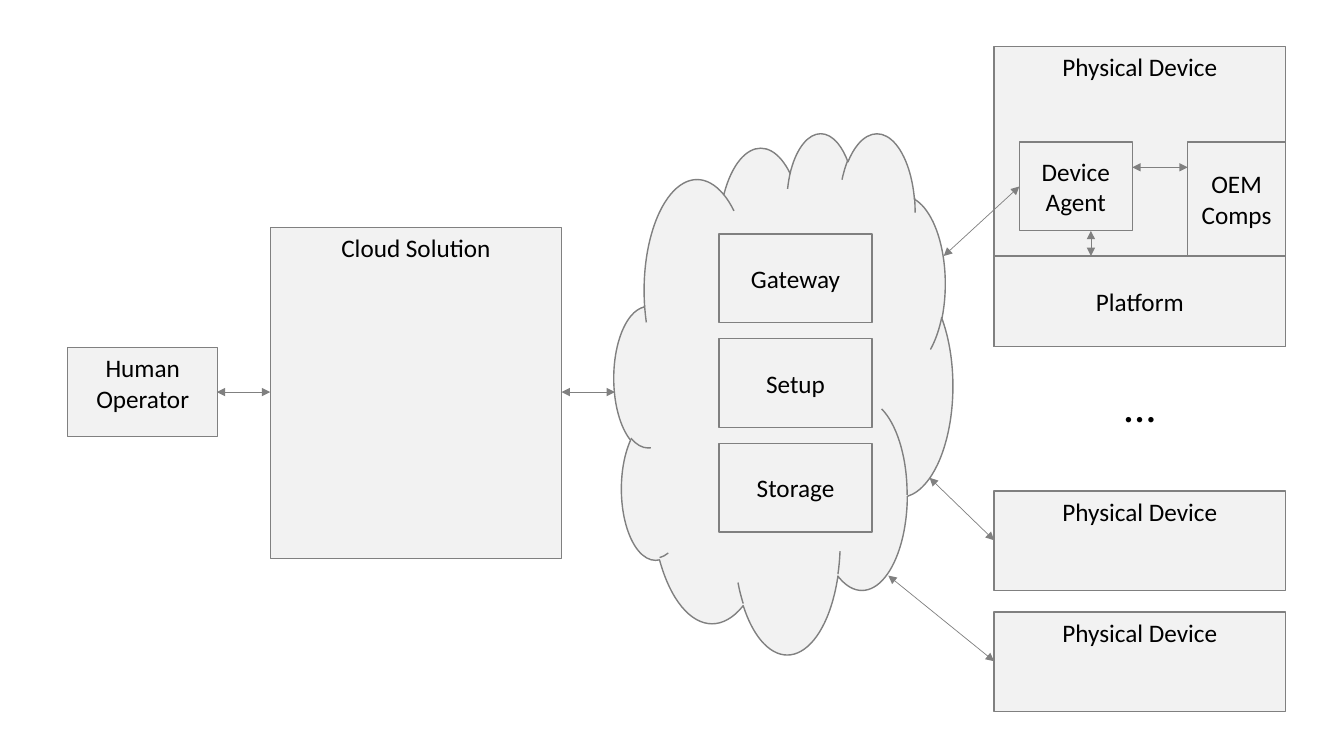
from lxml import etree
from pptx import Presentation
from pptx.dml.color import RGBColor
from pptx.enum.shapes import MSO_CONNECTOR, MSO_SHAPE
from pptx.enum.text import MSO_ANCHOR, PP_ALIGN
from pptx.oxml.ns import qn
from pptx.util import Inches, Pt

RECTANGLE, CLOUD = MSO_SHAPE.RECTANGLE, MSO_SHAPE.CLOUD
STRAIGHT = MSO_CONNECTOR.STRAIGHT
TOP, MIDDLE = MSO_ANCHOR.TOP, MSO_ANCHOR.MIDDLE
CENTER = PP_ALIGN.CENTER
LIGHT_GRAY = RGBColor(0xF2, 0xF2, 0xF2)
GRAY = RGBColor(0x80, 0x80, 0x80)
BLACK = RGBColor(0, 0, 0)

DEVICE_LEFT, DEVICE_WIDTH = 9.86, 2.89
BOX_HEIGHT = 0.88

presentation = Presentation()
presentation.slide_width = Inches(13.33)
presentation.slide_height = Inches(7.5)
slide = presentation.slides.add_slide(presentation.slide_layouts[6])


def write_text(shape, text, anchor, size=18):
    frame = shape.text_frame
    frame.text = text
    frame.word_wrap = True
    frame.vertical_anchor = anchor
    font_format = {"name": "Calibri", "size": Pt(size)}
    for paragraph in frame.paragraphs:
        paragraph.alignment = CENTER
        for name, value in font_format.items():
            setattr(paragraph.font, name, value)
        paragraph.font.color.rgb = BLACK


def add_box(preset, left, top, width, height, text="", anchor=TOP):
    shape = slide.shapes.add_shape(
        preset, Inches(left), Inches(top), Inches(width), Inches(height))
    shape.shadow.inherit = False
    shape.fill.solid()
    shape.fill.fore_color.rgb = LIGHT_GRAY
    shape.line.color.rgb = GRAY
    shape.line.width = Pt(1)
    if text:
        write_text(shape, text, anchor)


add_box(CLOUD, 6.09, 1.31, 3.36, 5.17)

# Outer boxes, with the text at the top
for top, height in [(0.46, 2.98), (4.87, 0.99), (6.07, 0.99)]:
    add_box(RECTANGLE, DEVICE_LEFT, top, DEVICE_WIDTH, height, "Physical Device")
add_box(RECTANGLE, 2.68, 2.26, 2.89, 3.28, "Cloud Solution")
add_box(RECTANGLE, 0.67, 3.45, 1.49, BOX_HEIGHT, "Human\nOperator")

# Services inside the cloud
for index, service in enumerate(["Gateway", "Setup", "Storage"]):
    add_box(RECTANGLE, 7.13, 2.32 + index * 1.04, 1.52, BOX_HEIGHT, service, MIDDLE)

# Parts of the first device
add_box(RECTANGLE, 10.11, 1.41, 1.12, BOX_HEIGHT, "Device Agent", MIDDLE)
add_box(RECTANGLE, DEVICE_LEFT, 2.54, DEVICE_WIDTH, 0.9, "Platform", MIDDLE)
add_box(RECTANGLE, 11.78, 1.41, 0.97, 1.13, "OEM\nComps", MIDDLE)

more_devices = slide.shapes.add_textbox(
    Inches(DEVICE_LEFT), Inches(3.52), Inches(DEVICE_WIDTH), Inches(0.99))
write_text(more_devices, "…", MIDDLE, 32)

arrows = [
    (2.15, 3.89, 2.68, 3.89),    # operator to solution
    (5.57, 3.89, 6.1, 3.89),     # solution to cloud
    (9.36, 2.54, 10.11, 1.85),   # cloud to device agent
    (9.22, 4.74, 9.86, 5.36),    # cloud to second device
    (8.81, 5.71, 9.86, 6.56),    # cloud to third device
    (10.82, 2.54, 10.82, 2.29),  # platform to device agent
    (11.78, 1.66, 11.23, 1.66),  # OEM components to device agent
]
for points in arrows:
    arrow = slide.shapes.add_connector(STRAIGHT, *[Inches(value) for value in points])
    arrow.line.color.rgb = GRAY
    arrow.line.width = Pt(0.5)
    line = arrow.line._get_or_add_ln()
    for end in ("a:headEnd", "a:tailEnd"):
        etree.SubElement(line, qn(end), type="triangle")
    etree.SubElement(arrow._element.spPr, qn("a:effectLst"))

presentation.save("out.pptx")
